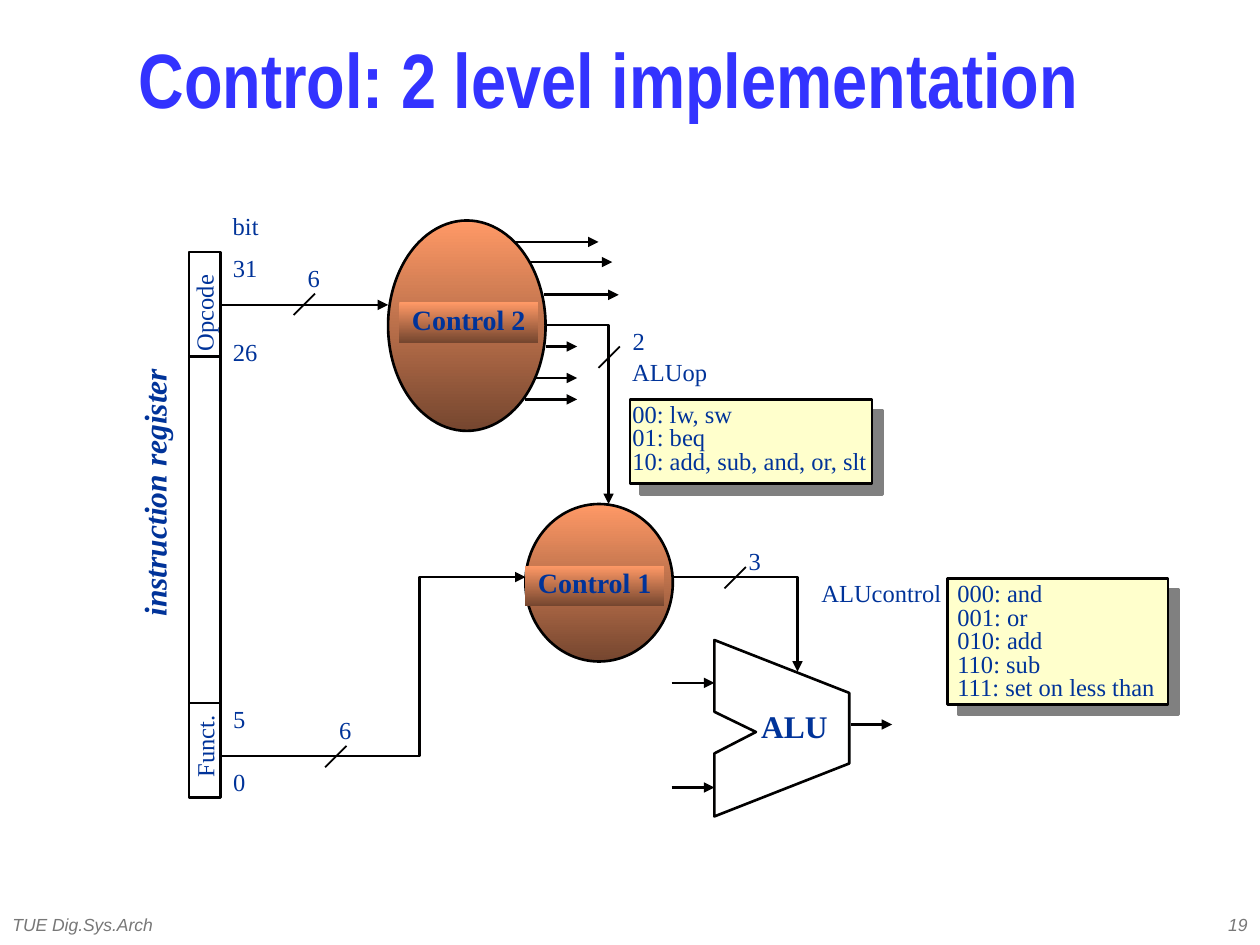
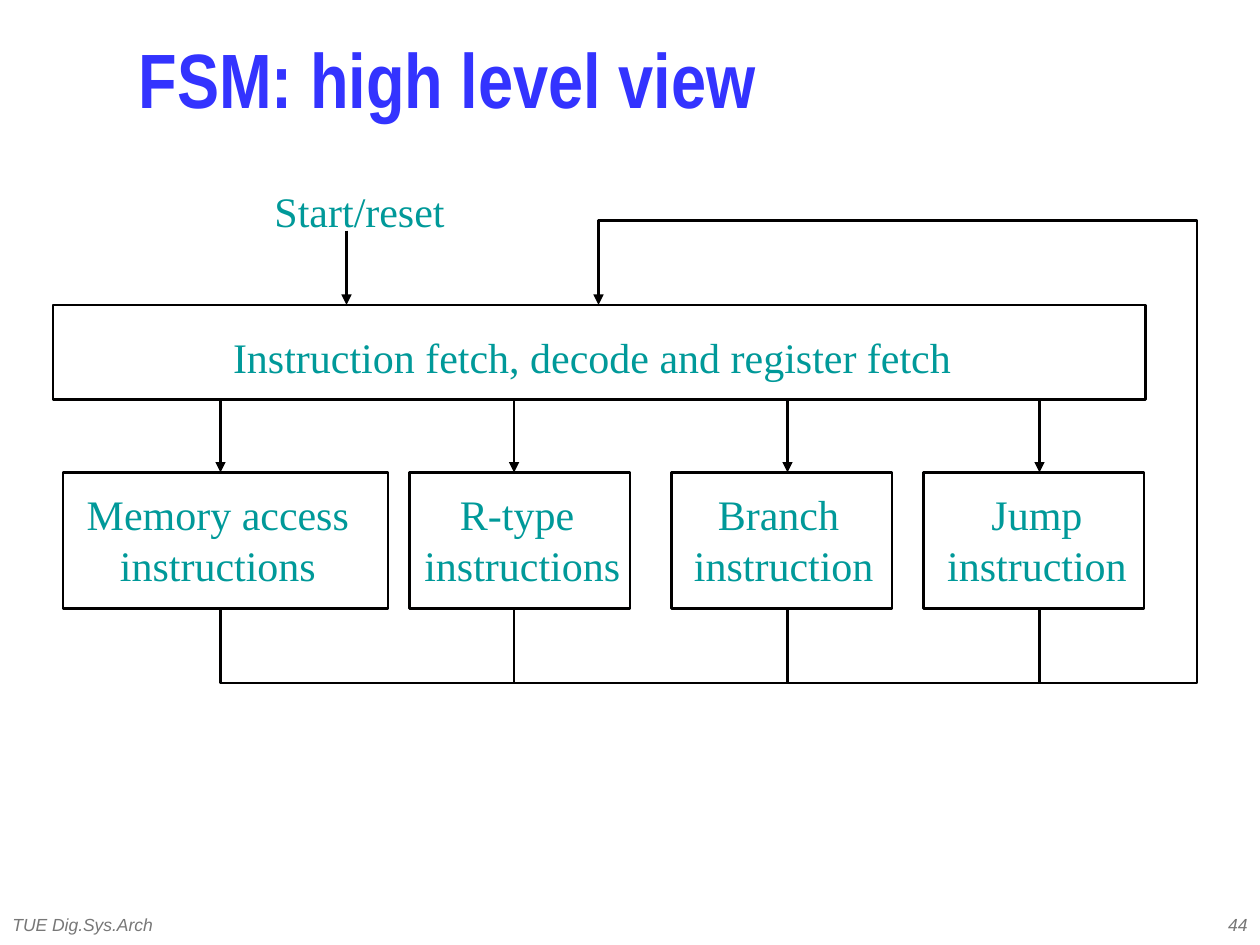
from lxml import etree
from pptx import Presentation
from pptx.dml.color import RGBColor
from pptx.enum.shapes import MSO_CONNECTOR, MSO_SHAPE
from pptx.enum.text import MSO_ANCHOR, MSO_AUTO_SIZE, PP_ALIGN
from pptx.oxml.ns import qn
from pptx.util import Inches, Pt

LEFT, CENTER, RIGHT = PP_ALIGN.LEFT, PP_ALIGN.CENTER, PP_ALIGN.RIGHT
MIDDLE = MSO_ANCHOR.MIDDLE
NO_FIT, GROW = MSO_AUTO_SIZE.NONE, MSO_AUTO_SIZE.SHAPE_TO_FIT_TEXT
RECT, OVAL = MSO_SHAPE.RECTANGLE, MSO_SHAPE.OVAL
STRAIGHT = MSO_CONNECTOR.STRAIGHT

INK, WHITE, NOTE, SHADOW = "010000", "FFFFFF", "FFFFCC", "808080"
GRADIENT = ("FF9966", "75462F")
TITLE = dict(name="Arial Narrow", size=Pt(44), bold=True, color="3333FF")
FOOTER = dict(name="Arial", size=Pt(10), italic=True, color="777777")
LABEL = dict(name="Times New Roman", size=Pt(14), color="003399")
CONTROL = dict(LABEL, size=Pt(16), bold=True)
ALU = dict(LABEL, size=Pt(18), bold=True)
REGISTER = dict(ALU, italic=True)
STATE = dict(LABEL, size=Pt(24), color="009999")

FOOTER_TEXT = "TUE Dig.Sys.Arch"
SLACK = 0.06  # extra width that keeps a tight label on one line

# Control slide: (text, left, top, width)
LABELS = [
    ("ALUop", 4.92, 2.83, 0.79), ("ALUcontrol", 6.42, 4.58, 1.15),
    ("bit", 1.75, 1.67, 0.4), ("31", 1.75, 2, 0.39), ("26", 1.75, 2.67, 0.39),
    ("5", 1.75, 5.58, 0.3), ("0", 1.75, 6.08, 0.3),
    ("6", 2.59, 5.67, 0.3), ("6", 2.34, 2.08, 0.3),
    ("2", 4.92, 2.58, 0.3), ("3", 5.84, 4.33, 0.3),
]
# (text, frame before rotation, format)
UPRIGHT_LABELS = [
    ("instruction register", (0.17, 3.74, 2.16, 0.34), REGISTER),
    ("Opcode", (1.24, 2.34, 0.8, 0.29), LABEL),
    ("Funct.", (1.3, 5.78, 0.69, 0.29), LABEL),
]
# (text, oval, name plate)
CONTROLS = [
    ("Control 1", (4.17, 4, 1.17, 1.25), (4.17, 4.49, 1.1, 0.32)),
    ("Control 2", (3.08, 1.75, 1.25, 1.67), (3.17, 2.4, 1.1, 0.32)),
]
# (lines, box, text frame)
CODE_TABLES = [
    (["00: lw, sw", "01: beq", "10: add, sub, and, or, slt"],
     (5, 3.17, 1.92, 0.67), (4.92, 3.16, 2.07, 0.66)),
    (["000: and", "001: or", "010: add", "110: sub", "111: set on less than"],
     (7.52, 4.59, 1.75, 1), (7.5, 4.58, 1.78, 1.04)),
]
FIELD_BORDERS = [2.83, 5.58]
ALU_OUTLINE = [(5.67, 5.08), (6.74, 5.5), (6.74, 6.06), (5.67, 6.48),
               (5.67, 5.98), (6, 5.81), (5.67, 5.65)]
# Horizontal arrows: (from x, to x, y)
SIGNALS = [
    (1.75, 3.08, 2.42),
    (4.08, 4.75, 1.92), (4.2, 4.86, 2.08), (4.32, 4.91, 2.34),
    (4.33, 4.58, 2.75), (4.25, 4.58, 3), (4.17, 4.58, 3.17),
    (5.33, 5.67, 5.42), (5.33, 5.67, 6.25), (6.75, 7.08, 5.75),
]
SIGNAL_PATHS = [
    [(4.33, 2.58), (4.83, 2.58), (4.83, 4)],
    [(5.33, 4.58), (6.33, 4.58), (6.33, 5.33)],
    [(1.75, 6), (3.33, 6), (3.33, 4.58), (4.17, 4.58)],
]
BUS_TICKS = [(2.33, 2.33), (2.58, 5.92), (5.75, 4.5), (4.75, 2.75)]
TICK = 0.17

# State machine slide: (lines, box left, box width, text left, text width, arrow x)
STATES = [
    (["Memory access", "instructions"], 0.5, 2.58, 0.59, 2.28, 1.75),
    (["R-type ", "instructions"], 3.25, 1.75, 3.27, 1.75, 4.08),
    (["Branch ", "instruction"], 5.33, 1.75, 5.41, 1.62, 6.25),
    (["Jump", "instruction"], 7.33, 1.75, 7.42, 1.62, 8.25),
]
FETCH = "Instruction fetch, decode and register fetch"
FETCH_TOP, FETCH_BOTTOM = 2.42, 3.17
STATE_TOP, STATE_BOTTOM = 3.75, 4.83
RETURN_TOP, RETURN_BOTTOM, RETURN_X, REENTRY_X = 1.75, 5.42, 9.5, 4.75


def rgb(value):
    return RGBColor.from_string(value)


def inches(values):
    return [Inches(v) for v in values]


def set_text(shape, lines, fmt, align=LEFT, spacing=1.0, wrap=False):
    tf = shape.text_frame
    tf.word_wrap = wrap
    tf.auto_size = NO_FIT if wrap else GROW
    tf.vertical_anchor = MIDDLE
    tf.margin_left = tf.margin_right = Inches(0.1)
    tf.margin_top = tf.margin_bottom = Inches(0.05)
    for i, line in enumerate(lines):
        p = tf.add_paragraph() if i else tf.paragraphs[0]
        p.alignment, p.line_spacing = align, spacing
        r = p.add_run()
        r.text = line
        for key, value in fmt.items():
            if key == "color":
                r.font.color.rgb = rgb(value)
            else:
                setattr(r.font, key, value)


def add_text(s, lines, at, fmt, align=CENTER, spacing=0.8, wrap=False):
    """Add a text box; a one-line label gets slack without moving its text."""
    left, top, width, height = at
    if not wrap:
        width += SLACK
        if align == CENTER:
            left -= SLACK / 2
    box = s.shapes.add_textbox(*inches((left, top, width, height)))
    set_text(box, lines, fmt, align, spacing, wrap)
    return box


def style_line(shape, width=1.5, arrow=False):
    shape.line.color.rgb = rgb(INK)
    shape.line.width = Pt(width)
    if arrow:
        ln = shape.line._get_or_add_ln()
        etree.SubElement(ln, qn("a:tailEnd"), type="triangle")


def style_fill(shape, fill):
    """Fill with one colour, a downward gradient (a pair), or nothing (None)."""
    if fill is None:
        shape.fill.background()
    elif isinstance(fill, tuple):
        shape.fill.gradient()
        shape.fill.gradient_angle = 270
        for stop, color, position in zip(shape.fill.gradient_stops, fill, (0, 1)):
            stop.color.rgb = rgb(color)
            stop.position = position
    else:
        shape.fill.solid()
        shape.fill.fore_color.rgb = rgb(fill)


def add_box(s, kind, at, fill=None, outline=True):
    shape = s.shapes.add_shape(kind, *inches(at))
    shape.shadow.inherit = False
    style_fill(shape, fill)
    if outline:
        style_line(shape)
    else:
        shape.line.fill.background()
    return shape


def add_drop_shadow(shape):
    effects = shape._element.spPr.find(qn("a:effectLst"))
    shadow = etree.SubElement(effects, qn("a:outerShdw"), dist=str(Pt(8.5)),
                              dir="2700000", algn="ctr", rotWithShape="0")
    etree.SubElement(shadow, qn("a:srgbClr"), val=SHADOW)


def add_line(s, x1, y1, x2, y2, width=1.5, arrow=False):
    line = s.shapes.add_connector(STRAIGHT, *inches((x1, y1, x2, y2)))
    style_line(line, width, arrow)
    etree.SubElement(line._element.spPr, qn("a:effectLst"))


def add_path(s, points, fill=None, closed=False):
    """Draw a closed outline, or an open path that ends in an arrowhead."""
    start, *rest = [inches(point) for point in points]
    builder = s.shapes.build_freeform(*start)
    builder.add_line_segments(rest, close=closed)
    shape = builder.convert_to_shape()
    shape.shadow.inherit = False
    style_fill(shape, fill)
    style_line(shape, arrow=not closed)


def add_slide(prs, title, number):
    s = prs.slides.add_slide(prs.slide_layouts[5])
    ph = s.shapes.title
    ph.left, ph.top, ph.width, ph.height = inches((1, 0.17, 8.58, 1.08))
    set_text(ph, [title], TITLE, spacing=0.7, wrap=True)
    for text, left, align in ((number, 7.92, RIGHT), (FOOTER_TEXT, 0, LEFT)):
        add_text(s, [text], (left, 7.17, 2.08, 0.33), FOOTER, align, 1.0, True)
    return s


def build_control(prs):
    s = add_slide(prs, "Control: 2 level implementation", "19")
    add_box(s, RECT, (1.5, 2, 0.25, 4.33), WHITE)
    for y in FIELD_BORDERS:
        add_line(s, 1.5, y, 1.75, y)
    for text, at, fmt in UPRIGHT_LABELS:
        add_text(s, [text], at, fmt).rotation = 270
    for text, oval, plate in CONTROLS:
        add_box(s, OVAL, oval, GRADIENT)
        sp = add_box(s, RECT, plate, GRADIENT, outline=False)
        set_text(sp, [text], CONTROL, CENTER, 0.8)
    add_path(s, ALU_OUTLINE, WHITE, closed=True)
    add_text(s, ["ALU"], (5.94, 5.62, 0.73, 0.34), ALU)
    for x1, x2, y in SIGNALS:
        add_line(s, x1, y, x2, y, arrow=True)
    for points in SIGNAL_PATHS:
        add_path(s, points)
    for lines, box, frame in CODE_TABLES:
        add_drop_shadow(add_box(s, RECT, box, NOTE))
        add_text(s, lines, frame, LABEL, LEFT)
    for x, y in BUS_TICKS:
        add_line(s, x + TICK, y, x, y + TICK, width=1)
    for text, x, y, width in LABELS:
        add_text(s, [text], (x, y, width, 0.29), LABEL)


def build_state_machine(prs):
    s = add_slide(prs, "FSM: high level view", "44")
    add_text(s, ["Start/reset"], (2.08, 1.42, 1.55, 0.5), STATE, LEFT, 1.0)
    add_line(s, 2.75, 1.83, 2.75, FETCH_TOP, arrow=True)
    add_box(s, RECT, (0.42, FETCH_TOP, 8.67, FETCH_BOTTOM - FETCH_TOP))
    add_text(s, [FETCH], (1.75, 2.58, 5.9, 0.5), STATE, spacing=1.0)
    for i, (lines, left, width, text_left, text_width, x) in enumerate(STATES):
        add_box(s, RECT, (left, STATE_TOP, width, STATE_BOTTOM - STATE_TOP))
        add_text(s, lines, (text_left, 3.83, text_width, 0.9), STATE, spacing=1.0)
        add_line(s, x, FETCH_BOTTOM, x, STATE_TOP, arrow=True)
        if i:
            add_line(s, x, STATE_BOTTOM, x, RETURN_BOTTOM)
    first_x = STATES[0][-1]
    add_path(s, [(first_x, STATE_BOTTOM), (first_x, RETURN_BOTTOM),
                 (RETURN_X, RETURN_BOTTOM), (RETURN_X, RETURN_TOP),
                 (REENTRY_X, RETURN_TOP), (REENTRY_X, FETCH_TOP)])


def main():
    prs = Presentation()
    prs.slide_width, prs.slide_height = Inches(10), Inches(7.5)
    build_control(prs)
    build_state_machine(prs)
    prs.save("out.pptx")


if __name__ == "__main__":
    main()
